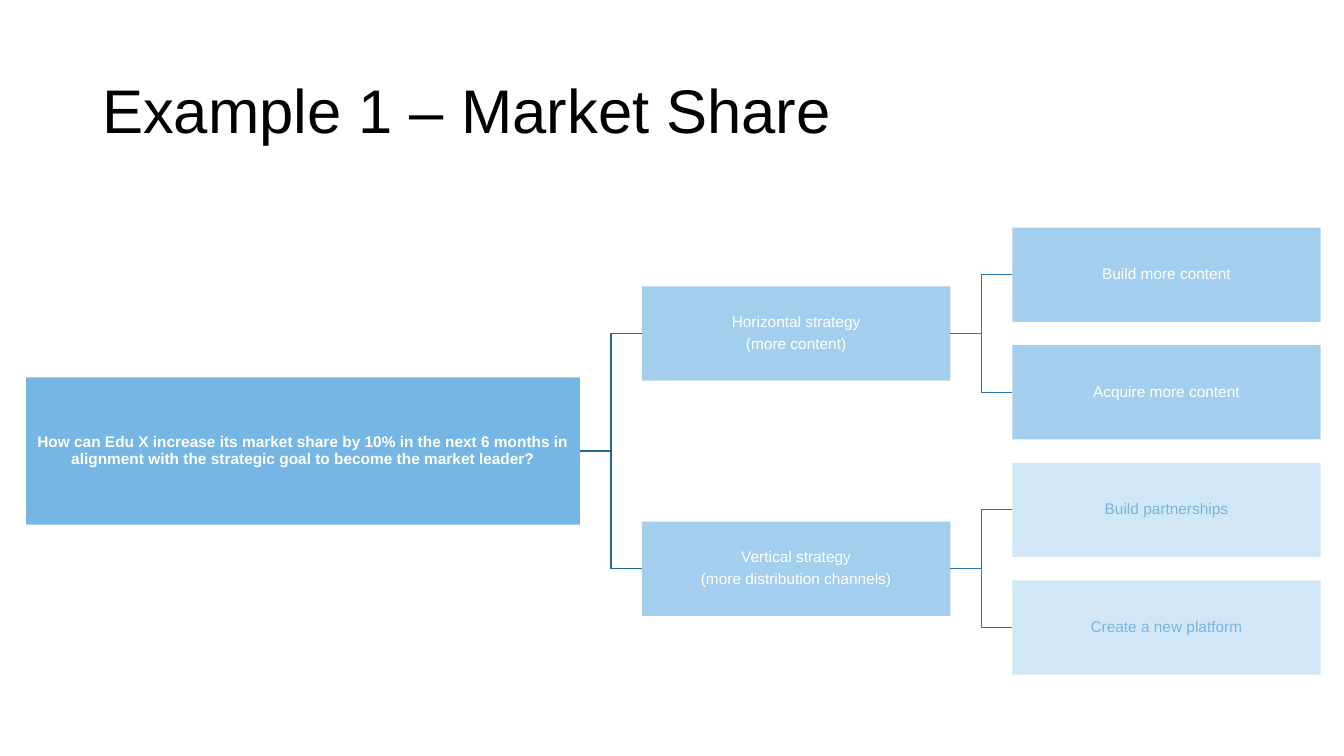
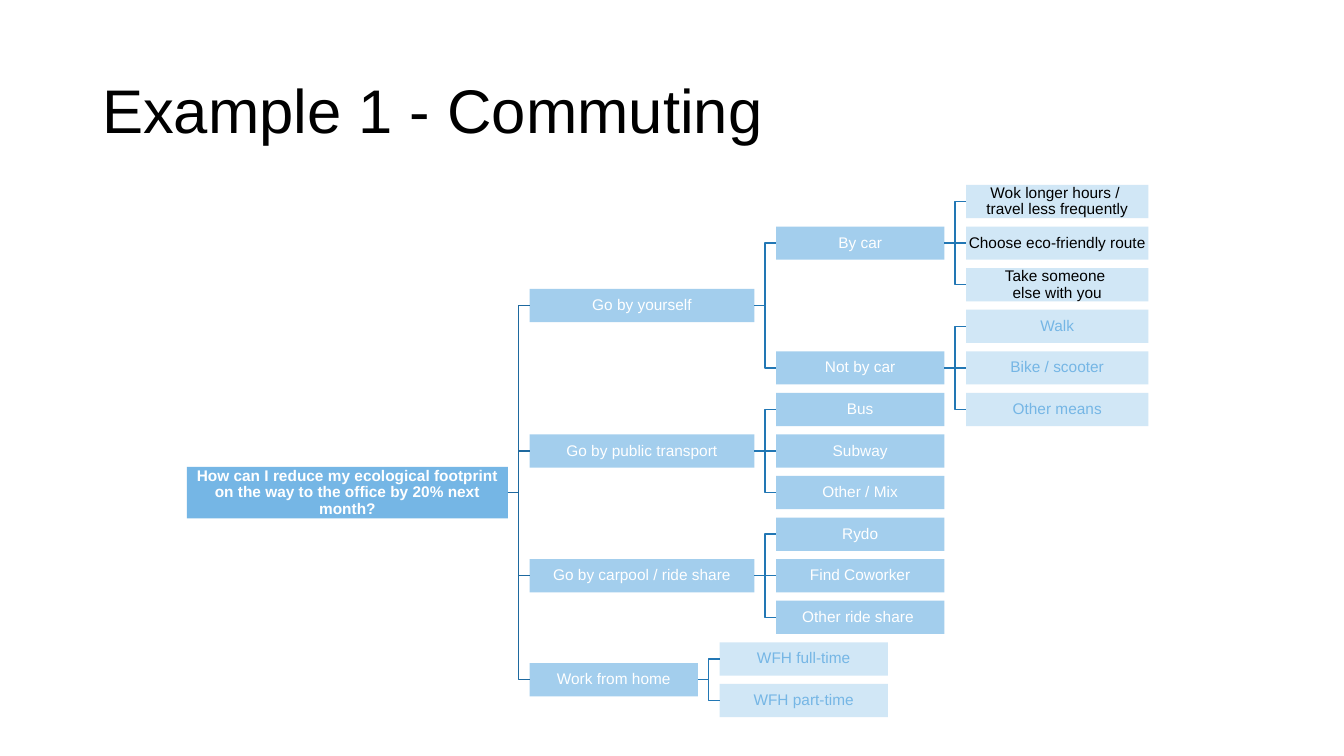
from lxml.etree import SubElement
from pptx import Presentation
from pptx.dml.color import RGBColor
from pptx.enum.shapes import MSO_CONNECTOR, MSO_SHAPE
from pptx.enum.text import MSO_ANCHOR, PP_ALIGN
from pptx.oxml.ns import qn
from pptx.util import Pt

PX = 4572
FONT = "Arial"
BLACK = RGBColor(0x00, 0x00, 0x00)
WHITE = RGBColor(0xFF, 0xFF, 0xFF)
MID_BLUE = RGBColor(0x75, 0xB6, 0xE5)
LIGHT_BLUE = RGBColor(0xA3, 0xCE, 0xED)
PALE_BLUE = RGBColor(0xD1, 0xE7, 0xF6)
ROOT_LINE = RGBColor(0x1E, 0x69, 0x9F)
BRANCH_LINE = RGBColor(0x22, 0x77, 0xB4)

QUESTION = (MID_BLUE, WHITE)
BRANCH = (LIGHT_BLUE, WHITE)
IDEA = (PALE_BLUE, MID_BLUE)
DETAIL = (PALE_BLUE, BLACK)

market_tree = (
    "How can Edu X increase its market share by 10% in the next 6 months in "
    "alignment with the strategic goal to become the market leader?", QUESTION, 1099, [
        ("Horizontal strategy\n(more content)", BRANCH, 612, [
            ("Build more content", BRANCH, 612, 0),
            ("Acquire more content", BRANCH, 612, 1),
        ]),
        ("Vertical strategy\n(more distribution channels)", BRANCH, 612, [
            ("Build partnerships", IDEA, 612, 2),
            ("Create a new platform", IDEA, 612, 3),
        ]),
    ])

commuting_tree = (
    "How can I reduce my ecological footprint on the way to the office "
    "by 20% next month?", QUESTION, 637, [
        ("Go by yourself", BRANCH, 446, [
            ("By car", BRANCH, 334, [
                ("Wok longer hours / \vtravel less frequently", DETAIL, 362, 0),
                ("Choose eco-friendly route", DETAIL, 362, 1),
                ("Take someone \velse with you", DETAIL, 362, 2),
            ]),
            ("Not by car", BRANCH, 334, [
                ("Walk", IDEA, 362, 3),
                ("Bike / scooter", IDEA, 362, 4),
                ("Other means", IDEA, 362, 5),
            ]),
        ]),
        ("Go by public transport", BRANCH, 446, [
            ("Bus", BRANCH, 334, 5),
            ("Subway", BRANCH, 334, 6),
            ("Other / Mix", BRANCH, 334, 7),
        ]),
        ("Go by carpool / ride share", BRANCH, 446, [
            ("Rydo", BRANCH, 334, 8),
            ("Find Coworker", BRANCH, 334, 9),
            ("Other ride share ", BRANCH, 334, 10),
        ]),
        ("Work from home", BRANCH, 334, [
            ("WFH full-time", IDEA, 334, 11),
            ("WFH part-time", IDEA, 334, 12),
        ]),
    ])

slides = [
    ("Example 1 – Market Share", market_tree, 52,
     dict(first=545, last=1245, rows=4, gap=123, question_height=292, height=187)),
    ("Example 1 - Commuting", commuting_tree, 371,
     dict(first=400, last=1390, rows=13, gap=43, question_height=102, height=66)),
]


def link(slide, parent, child, color, level):
    kind = MSO_CONNECTOR.STRAIGHT if level else MSO_CONNECTOR.ELBOW
    connector = slide.shapes.add_connector(kind, 0, 0, 0, 0)
    connector.begin_connect(parent, 3)
    connector.end_connect(child, 1)
    connector.line.color.rgb = color
    connector.line.width = Pt(1)
    SubElement(connector._element.spPr, qn("a:effectLst"))


def draw_tree(slide, node, left, grid):
    text, style, width, below = node
    fill, ink = style
    is_question = style is QUESTION
    height = grid["question_height"] if is_question else grid["height"]
    children = []
    row = below
    if isinstance(below, list):
        next_left = left + width + grid["gap"]
        children = [draw_tree(slide, child, next_left, grid) for child in below]
        row = (children[0][1] + children[-1][1]) / 2

    pitch = (grid["last"] - grid["first"]) / (grid["rows"] - 1)
    top = grid["first"] + row * pitch - height / 2
    box = slide.shapes.add_shape(
        MSO_SHAPE.RECTANGLE, left * PX, round(top * PX), width * PX, height * PX)
    box.shadow.inherit = False
    box.fill.solid()
    box.fill.fore_color.rgb = fill
    box.line.fill.background()
    frame = box.text_frame
    frame.word_wrap = True
    frame.vertical_anchor = MSO_ANCHOR.MIDDLE
    frame.margin_left = frame.margin_right = 2 * PX
    frame.margin_top = frame.margin_bottom = 2 * PX
    frame.text = text
    for paragraph in frame.paragraphs:
        paragraph.alignment = PP_ALIGN.CENTER
        paragraph.line_spacing = 0.9
        paragraph.space_after = Pt(3.85)
        paragraph.font.name = FONT
        paragraph.font.size = Pt(11)
        paragraph.font.bold = is_question
        paragraph.font.color.rgb = ink

    for child, child_row in children:
        link(slide, box, child, ROOT_LINE if is_question else BRANCH_LINE, child_row == row)
    return box, row


prs = Presentation()
prs.slide_width = 2667 * PX
prs.slide_height = 1500 * PX

for heading, tree, left, grid in slides:
    slide = prs.slides.add_slide(prs.slide_layouts[6])
    title = slide.shapes.add_textbox(183 * PX, 80 * PX, 2300 * PX, 290 * PX).text_frame
    title.word_wrap = True
    title.vertical_anchor = MSO_ANCHOR.MIDDLE
    title.text = heading
    line = title.paragraphs[0]
    line.line_spacing = 0.9
    line.font.name = FONT
    line.font.size = Pt(44)
    line.font.color.rgb = BLACK
    draw_tree(slide, tree, left, grid)

prs.save("out.pptx")
